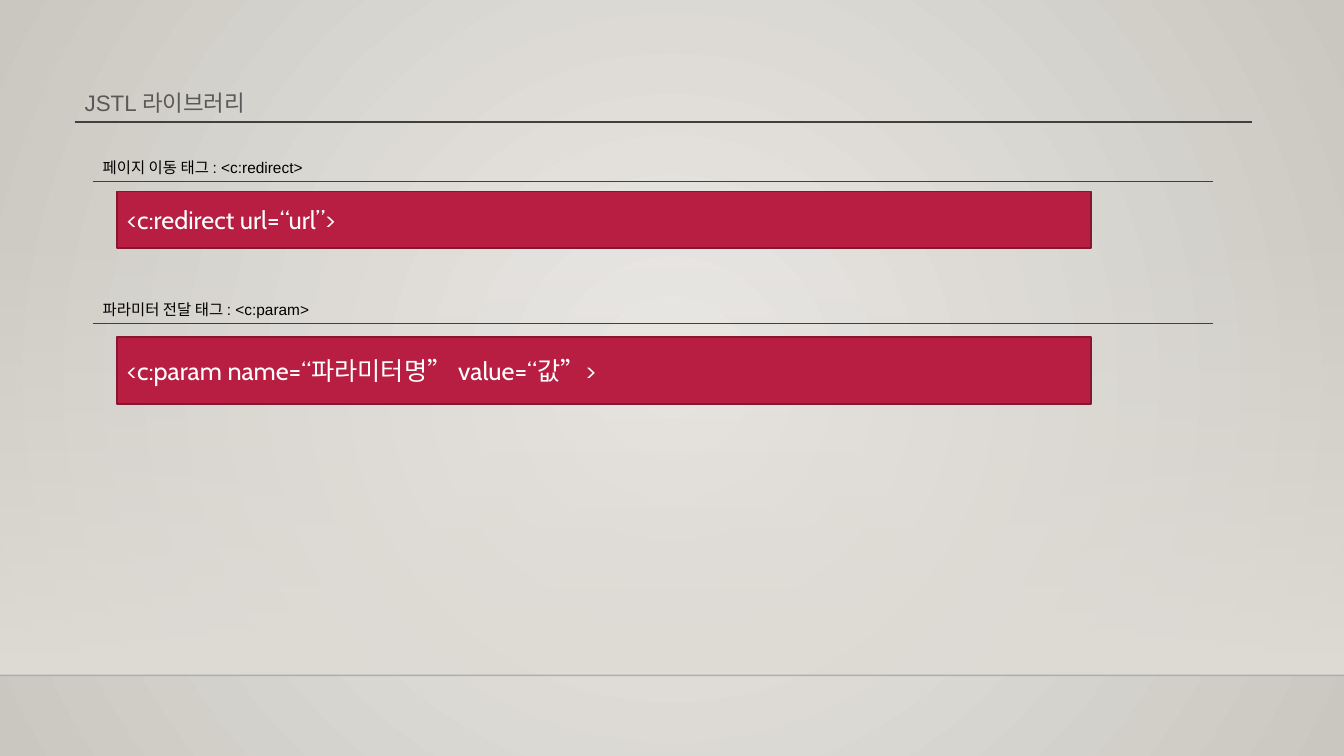
from lxml.etree import SubElement
from pptx import Presentation
from pptx.dml.color import RGBColor
from pptx.enum.shapes import MSO_CONNECTOR, MSO_SHAPE
from pptx.enum.text import MSO_ANCHOR, MSO_AUTO_SIZE, PP_ALIGN
from pptx.oxml.ns import qn
from pptx.util import Inches, Pt

HUES = {
    "light": "ECEAE7", "dark": "CAC7C1", "floor": "DFDBD5",
    "edge": "000001", "rule": "404040", "title": "595959",
    "ink": "000000", "red": "B71E42", "rim": "871631", "white": "FFFFFF",
}

PARTS = [
    (24, 25.33, 7.47, "페이지 이동 태그 : <c:redirect>", "<c:redirect url=“url”>"),
    (42.8, 44.53, 8.93, "파라미터 전달 태그 : <c:param>",
     "<c:param name=“파라미터명” value=“값”>"),
]


def tint(name):
    return RGBColor.from_string(HUES[name])


def fade(node, share):
    for hue in node.iter(qn("a:srgbClr")):
        SubElement(hue, qn("a:alpha"), val=str(share * 1000))


def blend(fill, first, last):
    fill.gradient()
    for stop, name in zip(fill.gradient_stops, (first, last)):
        stop.color.rgb = tint(name)


def write(shape, text, size=11, hue="ink", font="Arial", anchor=MSO_ANCHOR.TOP):
    frame = shape.text_frame
    frame.word_wrap = True
    frame.auto_size = MSO_AUTO_SIZE.NONE
    frame.vertical_anchor = anchor
    frame.text = text
    line = frame.paragraphs[0]
    line.alignment = PP_ALIGN.LEFT
    face = line.runs[0].font
    face.size, face.name = Pt(size), font
    face.color.rgb = tint(hue)


class Page:
    def __init__(self):
        self.deck = Presentation()
        self.deck.slide_width = Inches(13.33)
        self.deck.slide_height = Inches(7.5)
        self.slide = self.deck.slides.add_slide(self.deck.slide_layouts[5])
        self.shapes = self.slide.shapes

    def place(self, x, y, wide, high):
        across, down = self.deck.slide_width, self.deck.slide_height
        return [round(share * full / 100) for share, full in
                ((x, across), (y, down), (wide, across), (high, down))]

    def backdrop(self):
        fill = self.slide.background.fill
        blend(fill, "light", "dark")
        grad = self.slide.element.find(".//" + qn("a:gradFill"))
        grad.remove(grad.find(qn("a:lin")))
        ring = SubElement(grad, qn("a:path"), path="circle")
        SubElement(ring, qn("a:fillToRect"),
                   {side: "50000" for side in "ltrb"})

    def floor(self, top, base):
        area = self.shapes.add_shape(
            MSO_SHAPE.RECTANGLE, *self.place(0, top, 100, base - top))
        area.shadow.inherit = False
        area.line.fill.background()
        blend(area.fill, "floor", "floor")
        area.fill.gradient_angle = 270
        fade(area.element.find(".//" + qn("a:gs")), 0)
        self.rule(0, base, 100, "edge", 20)

    def rule(self, x, y, wide, hue="rule", share=100):
        left, top, span, _ = self.place(x, y, wide, 0)
        line = self.shapes.add_connector(
            MSO_CONNECTOR.STRAIGHT, left, top, left + span, top)
        line.line.width = Pt(1)
        line.line.color.rgb = tint(hue)
        props = line.element.spPr
        if share < 100:
            fade(props, share)
        SubElement(props, qn("a:effectLst"))

    def title(self, text, x, y, wide, high):
        head = self.shapes.title
        head.left, head.top, head.width, head.height = self.place(x, y, wide, high)
        write(head, text, size=16, hue="title")

    def label(self, text, *spot):
        write(self.shapes.add_textbox(*self.place(*spot)), text)

    def code(self, text, *spot):
        box = self.shapes.add_shape(MSO_SHAPE.RECTANGLE, *self.place(*spot))
        box.shadow.inherit = False
        box.fill.solid()
        box.fill.fore_color.rgb = tint("red")
        box.line.color.rgb = tint("rim")
        box.line.width = Pt(1.25)
        write(box, text, size=18, hue="white", font="Cabin",
              anchor=MSO_ANCHOR.MIDDLE)


def main():
    page = Page()
    page.backdrop()
    page.floor(29.47, 89.33)
    page.title("JSTL 라이브러리", 5.55, 11.07, 87.62, 4.93)
    page.rule(5.55, 16.13, 87.62)
    for base, top, high, name, code in PARTS:
        page.label(name, 6.9, base - 3.8, 83.35, 3.8)
        page.rule(6.9, base, 83.35)
        page.code(code, 8.7, top, 72.47, high)
    page.deck.save("out.pptx")


if __name__ == "__main__":
    main()
